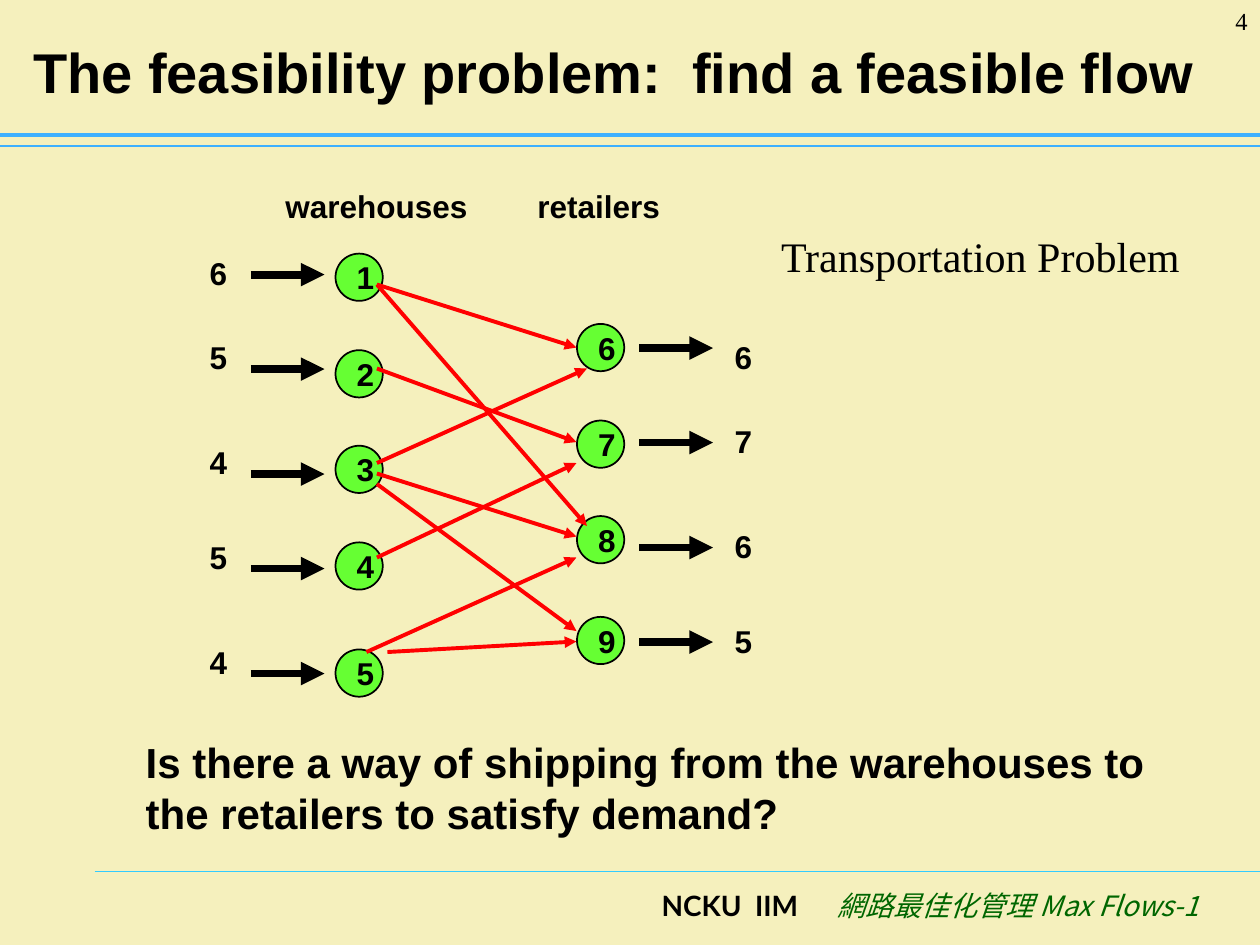
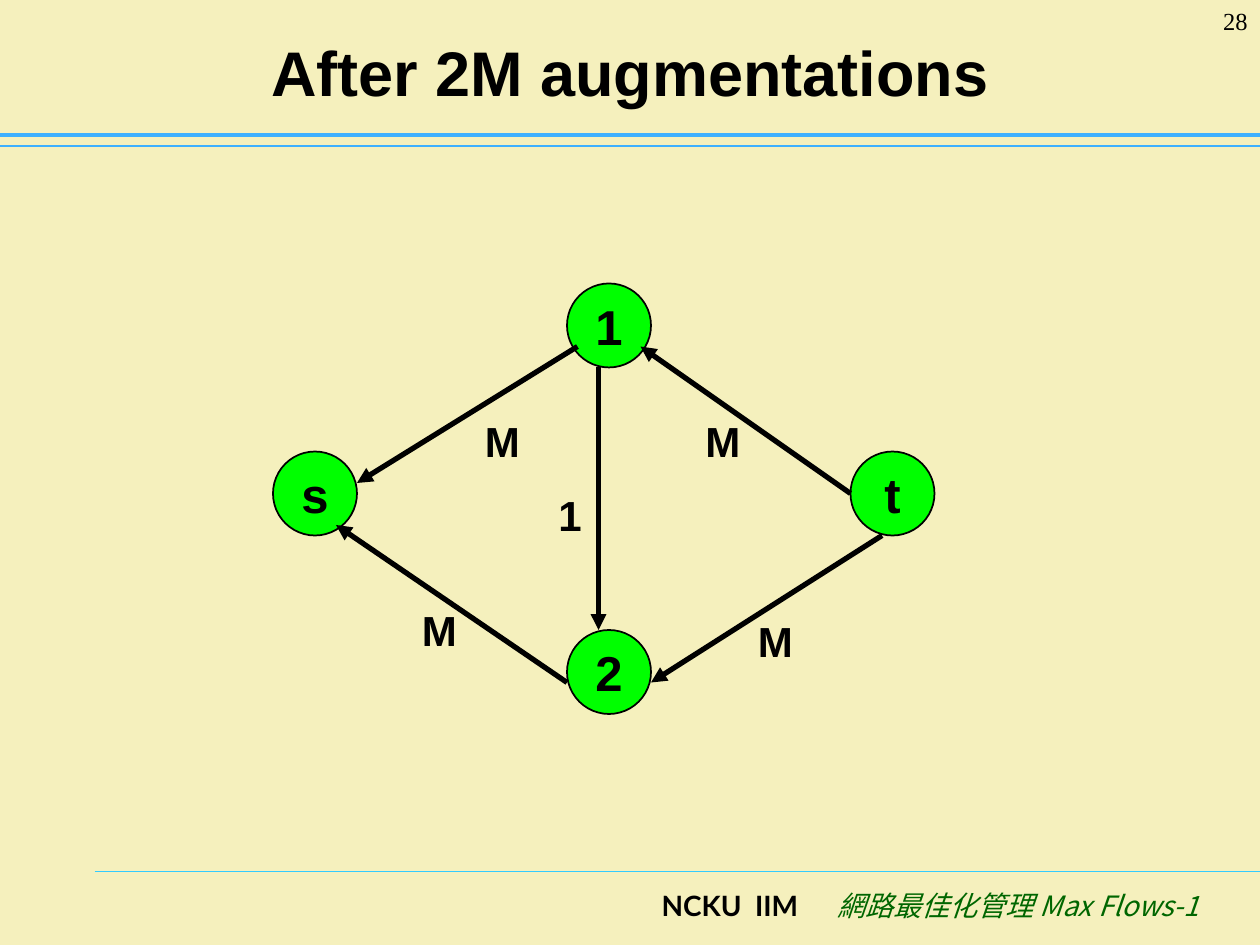
from lxml import etree
from pptx import Presentation
from pptx import util as u
from pptx.dml.color import RGBColor
from pptx.enum import shapes, text
from pptx.oxml.ns import qn

COLS, ROWS = 120, 90
CELL = u.Inches(10) // COLS
COLORS = {
    "paper": "F5F0BD", "ink": "000000", "rule": "3DB0FF", "foot_rule": "33CCFF",
    "course": "006600", "site": "66FF33", "vertex": "00FF00", "route": "FF0000",
}
LEFT, CENTER, RIGHT = text.PP_ALIGN.LEFT, text.PP_ALIGN.CENTER, text.PP_ALIGN.RIGHT
TOP, MIDDLE = text.MSO_ANCHOR.TOP, text.MSO_ANCHOR.MIDDLE


def rgb(name):
    return RGBColor.from_string(COLORS[name])


def grid(*cells):
    return [u.Emu(round(n * CELL)) for n in cells]


def write(shape, content, size=18, font="Arial", color="ink", bold=True, italic=False,
          align=LEFT, anchor=TOP, insets=(0.1, 0.05, 0.1, 0.05), wrap=True):
    """Fill a shape with one formatted paragraph; insets are in inches."""
    tf = shape.text_frame
    tf.auto_size = text.MSO_AUTO_SIZE.NONE
    tf.word_wrap = wrap
    tf.vertical_anchor = anchor
    tf.margin_left, tf.margin_top, tf.margin_right, tf.margin_bottom = map(u.Inches, insets)
    p = tf.paragraphs[0]
    p.alignment = align
    r = p.add_run()
    r.text = content
    r.font.size, r.font.name = u.Pt(size), font
    r.font.bold, r.font.italic = bold, italic
    r.font.color.rgb = rgb(color)
    etree.SubElement(r.font._element, qn("a:ea"), typeface=font)


def label(s, content, box, **fmt):
    write(s.shapes.add_textbox(*grid(*box)), content, **fmt)


def line(s, start, end, color="ink", width=3, arrow=True):
    c = s.shapes.add_connector(shapes.MSO_CONNECTOR.STRAIGHT, *grid(*start, *end))
    c.line.color.rgb = rgb(color)
    c.line.width = u.Pt(width)
    spPr = c.element.spPr
    if arrow:
        etree.SubElement(spPr.find(qn("a:ln")), qn("a:tailEnd"), type="triangle")
    etree.SubElement(spPr, qn("a:effectLst"))


def node(s, name, center, diameter, color, **fmt):
    col, row = center
    sp = s.shapes.add_shape(shapes.MSO_SHAPE.OVAL, *grid(
        col - diameter / 2, row - diameter / 2, diameter, diameter))
    sp.shadow.inherit = False
    sp.fill.solid()
    sp.fill.fore_color.rgb = rgb(color)
    sp.line.color.rgb = rgb("ink")
    sp.line.width = u.Pt(1)
    write(sp, name, align=CENTER, anchor=MIDDLE, wrap=False, **fmt)


def add_slide(prs, title, title_box, title_size, number):
    """Add a slide with the shared rules, footer, title and page number."""
    s = prs.slides.add_slide(prs.slide_layouts[5])
    line(s, (9, 83), (COLS, 83), "foot_rule", 0.75, arrow=False)
    line(s, (0, 13.9), (COLS, 13.9), "rule", 0.75, arrow=False)
    line(s, (0, 12.85), (COLS, 12.85), "rule", 2.5, arrow=False)
    label(s, "NCKU  IIM", (53.2, 84, 24, 6), size=16, font="Lato", align=RIGHT)
    label(s, "網路最佳化管理 Max Flows-1", (77, 84, 38.4, 6), size=16,
          font="Noto Sans CJK SC", color="course", bold=False, italic=True, align=RIGHT)
    t = s.shapes.title
    t.left, t.top, t.width, t.height = grid(*title_box)
    write(t, title, size=title_size, align=CENTER, anchor=MIDDLE)
    label(s, number, (110, 0, 10, 6), size=14, font="Times New Roman",
          bold=False, align=RIGHT)
    return s


def quantity(s, amount, col, row):
    label(s, amount, (col - 2, row - 2, 4, 4), align=CENTER, anchor=MIDDLE,
          insets=(0, 0, 0, 0))


def feasibility_slide(prs):
    s = add_slide(prs, "The feasibility problem:  find a feasible flow",
                  (0, 2.5, 117, 8.5), 32, "4")
    label(s, "warehouses", (26, 17.2, 20, 4.8))
    label(s, "retailers", (50, 17.2, 20, 4.8))

    site_rows = {34.2: (26.4, 35.6, 44.7, 53.9, 64.1), 57.2: (33.1, 42.3, 51.4, 61)}
    sites = [(col, row) for col, rows in site_rows.items() for row in rows]
    for i, center in enumerate(sites, 1):
        node(s, str(i), center, 4.5, "site", insets=(0.1, 0, 0, 0))

    routes = [
        ((36, 27), (55, 33)), ((36, 27), (56, 50)), ((36, 46), (55, 60)),
        ((36, 35), (55, 42)), ((36, 44), (56, 35)), ((36, 45), (55, 51)),
        ((36, 53), (55, 44)), ((37, 62), (55, 61)), ((35, 62), (55, 53)),
    ]
    for (x1, y1), (x2, y2) in routes:
        line(s, (x1 - 0.1, y1 + 0.1), (x2 - 0.1, y2 + 0.1), "route", 2.25)

    # amount, arrow row, label row
    supply = [("6", 26, 26), ("5", 35, 34), ("4", 45, 44), ("5", 54, 53), ("4", 64, 63)]
    demand = [("6", 33, 34), ("7", 42, 42), ("6", 52, 52), ("5", 61, 61)]
    for flows, arrow_col, label_col in ((supply, 23.9, 20.8), (demand, 60.9, 70.8)):
        for amount, arrow_row, label_row in flows:
            line(s, (arrow_col, arrow_row + 0.15), (arrow_col + 7, arrow_row + 0.15), width=4.5)
            quantity(s, amount, label_col, label_row)

    label(s, "Transportation Problem", (73.2, 21.4, 40.4, 6), size=24,
          font="Times New Roman", bold=False, wrap=False)
    label(s, "Is there a way of shipping from the warehouses to the retailers "
             "to satisfy demand?", (12.7, 69.6, 100, 10.8), size=24)


def augmentation_slide(prs):
    s = add_slide(prs, "After 2M augmentations", (6, 1.5, 108, 10.5), 36, "28")
    vertices = {"s": (30, 47), "1": (58, 31), "2": (58, 64), "t": (85, 47)}
    for name, center in vertices.items():
        node(s, name, center, 8, "vertex", size=28)
    # start, end, capacity, label corner
    arcs = [
        ((84, 51), (62, 65), "M", (71, 58)),
        ((55, 33), (34, 46), "M", (45, 39)),
        ((54, 65), (32, 50), "M", (39, 57)),
        ((81, 47), (61, 33), "M", (66, 39)),
        ((57, 35), (57, 60), "1", (52, 46)),
    ]
    for start, end, capacity, corner in arcs:
        line(s, start, end)
        label(s, capacity, (*corner, 7, 6), size=24)


def main():
    prs = Presentation()
    prs.slide_width, prs.slide_height = grid(COLS, ROWS)
    fill = prs.slide_master.background.fill
    fill.solid()
    fill.fore_color.rgb = rgb("paper")
    feasibility_slide(prs)
    augmentation_slide(prs)
    prs.save("out.pptx")


if __name__ == "__main__":
    main()
